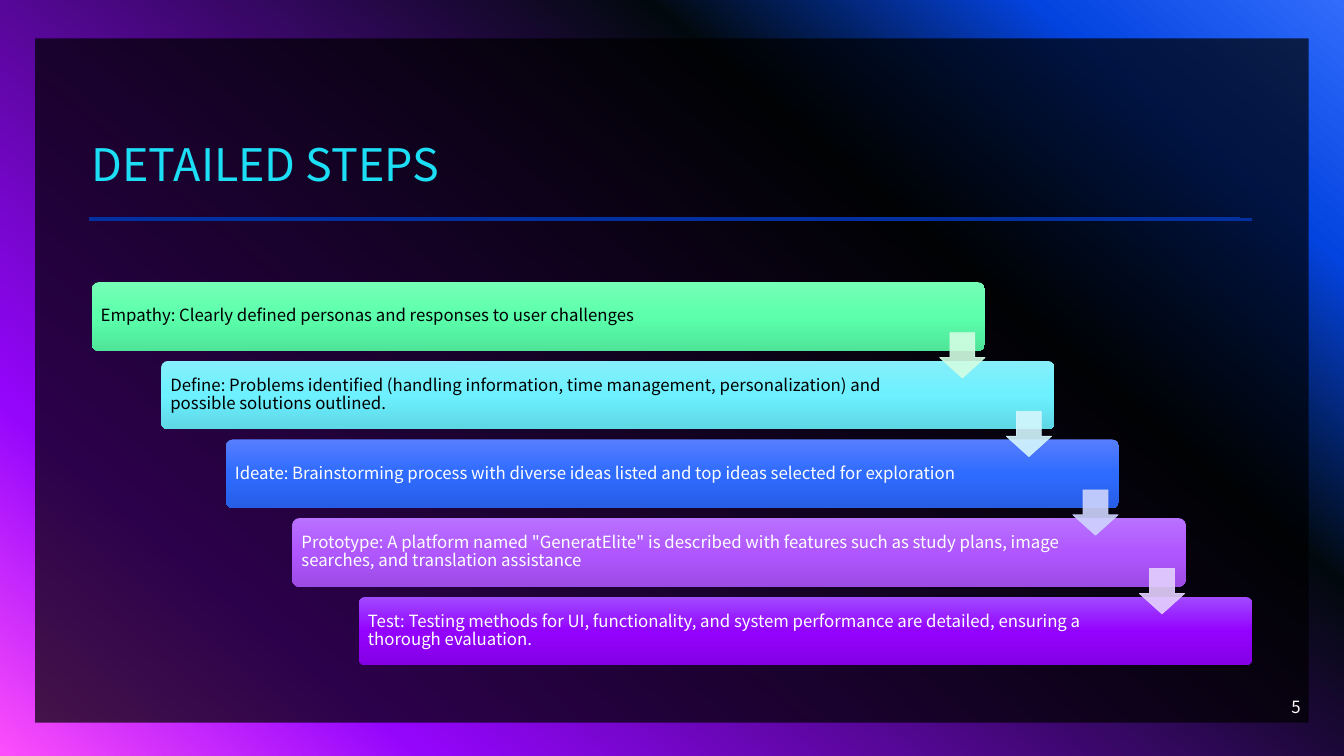
from lxml.etree import SubElement
from pptx import Presentation
from pptx.dml.color import RGBColor
from pptx.enum.shapes import MSO_CONNECTOR, MSO_SHAPE
from pptx.enum.text import MSO_ANCHOR, MSO_AUTO_SIZE, PP_ALIGN
from pptx.oxml.ns import qn
from pptx.util import Inches, Pt

# Content
TITLE = "DETAILED STEPS"
PAGE_NUMBER = "5"
FONT = "Noto Sans CJK SC"
BLACK = RGBColor(0x00, 0x00, 0x00)
WHITE = RGBColor(0xFF, 0xFF, 0xFF)
CYAN = RGBColor(0x1C, 0xDF, 0xF5)
RULE_BLUE = RGBColor(0x03, 0x30, 0xA0)
BACKGROUND = [(0, "316CFC"), (14, "0343DF"), (31, "02090E"), (81, "9405FC"), (100, "FC4EFB")]
RULES = [(2.18, 12.42), (2.17, 12.3)]  # height, right end

# Text, left edge, right inset, text colour, gradient
STEPS = [
    ("Empathy: Clearly defined personas and responses to user challenges",
     0.91, 0.85, BLACK, ("75FEB6", "5BFFAC", "4FE599")),
    ("Define: Problems identified (handling information, time management, "
     "personalization) and possible solutions outlined.",
     1.6, 1.18, BLACK, ("86EFFB", "6DF0FF", "5FD7E5")),
    ("Ideate: Brainstorming process with diverse ideas listed and top ideas "
     "selected for exploration",
     2.24, 1.18, WHITE, ("577EFF", "2E6BFF", "275EE5")),
    ('Prototype: A platform named "GeneratElite" is described with features such as '
     "study plans, image searches, and translation assistance",
     2.9, 1.18, WHITE, ("B971FF", "B057FF", "9D4BE5")),
    ("Test: Testing methods for UI, functionality, and system performance are "
     "detailed, ensuring a thorough evaluation.",
     3.56, 1.18, WHITE, ("A04BFF", "9402FF", "8400E4")),
]
ARROW_COLORS = ["D2FEE3", "D5F7FD", "CED4FE", "E4D1FE"]

# Layout
BAR_TOP, BAR_WIDTH, BAR_HEIGHT = 2.8, 8.86, 0.68
ARROW_LEFT, ARROW_TOP, ARROW_SIZE = 9.32, 3.3, 0.45
STEP_RIGHT, STEP_DOWN = 0.66, 0.78


def set_gradient(fill, element, stops, angle):
    fill.gradient()
    fill.gradient_angle = 360 - angle
    stop_list = next(element.iter(qn("a:gsLst")))
    for old in list(stop_list):
        stop_list.remove(old)
    for position, color in stops:
        stop = SubElement(stop_list, qn("a:gs"), pos=str(position * 1000))
        SubElement(stop, qn("a:srgbClr"), val=color)


def set_opacity(shape, percent):
    for color in shape.element.spPr.iter(qn("a:srgbClr")):
        SubElement(color, qn("a:alpha"), val=str(percent * 1000))


def add_part(kind, left, top, width, height):
    shape = page.shapes.add_shape(kind, Inches(left), Inches(top), Inches(width), Inches(height))
    shape.shadow.inherit = False
    shape.line.fill.background()
    return shape


def set_text(frame, text, size, color, anchor, align=PP_ALIGN.LEFT, spacing=0.9):
    frame.word_wrap = True
    frame.auto_size = MSO_AUTO_SIZE.NONE
    frame.vertical_anchor = anchor
    para = frame.paragraphs[0]
    para.text = text
    para.alignment = align
    para.line_spacing = spacing
    para.font.size = Pt(size)
    para.font.name = FONT
    para.font.color.rgb = color


deck = Presentation()
deck.slide_width, deck.slide_height = Inches(13.33), Inches(7.5)
page = deck.slides.add_slide(deck.slide_layouts[5])

# Background and dark panel
set_gradient(page.background.fill, page.element, BACKGROUND, 130)
panel = add_part(MSO_SHAPE.RECTANGLE, 0.35, 0.38, 12.63, 6.79)
panel.fill.solid()
panel.fill.fore_color.rgb = BLACK
set_opacity(panel, 70)

# Rules under the title
for height, right in RULES:
    rule = page.shapes.add_connector(
        MSO_CONNECTOR.STRAIGHT, Inches(0.88), Inches(height), Inches(right), Inches(height))
    rule.line.color.rgb = RULE_BLUE
    rule.line.width = Pt(2)
    SubElement(rule.element.spPr, qn("a:effectLst"))

# Title, brought in front of the panel
title = page.shapes.title
title.left, title.top, title.width, title.height = (
    Inches(0.91), Inches(0.7), Inches(11.5), Inches(1.25))
title.text_frame.margin_left = 0
set_text(title.text_frame, TITLE, 32, CYAN, MSO_ANCHOR.BOTTOM)
page.shapes.element.append(title.element)

# Page number
number = page.shapes.add_textbox(Inches(10), Inches(6.81), Inches(3), Inches(0.4))
set_text(number.text_frame, PAGE_NUMBER, 12, WHITE, MSO_ANCHOR.MIDDLE, PP_ALIGN.RIGHT, 1.0)

# Step bars
for index, (text, left, inset, color, gradient) in enumerate(STEPS):
    bar = add_part(MSO_SHAPE.ROUNDED_RECTANGLE, left, BAR_TOP + index * STEP_DOWN,
                   BAR_WIDTH, BAR_HEIGHT)
    bar.adjustments[0] = 0.1
    set_gradient(bar.fill, bar.element, zip((0, 50, 100), gradient), 90)
    frame = bar.text_frame
    frame.margin_left = frame.margin_top = frame.margin_bottom = Inches(0.07)
    frame.margin_right = Inches(inset)
    set_text(frame, text, 12, color, MSO_ANCHOR.MIDDLE)

# Arrows from each bar to the next
for index, color in enumerate(ARROW_COLORS):
    arrow = add_part(MSO_SHAPE.DOWN_ARROW, ARROW_LEFT + index * STEP_RIGHT,
                     ARROW_TOP + index * STEP_DOWN, ARROW_SIZE, ARROW_SIZE)
    arrow.adjustments[0], arrow.adjustments[1] = 0.55, 0.45
    arrow.fill.solid()
    arrow.fill.fore_color.rgb = RGBColor.from_string(color)
    arrow.line.color.rgb = RGBColor.from_string(color)
    arrow.line.width = Pt(0.5)
    set_opacity(arrow, 90)

deck.save("out.pptx")
